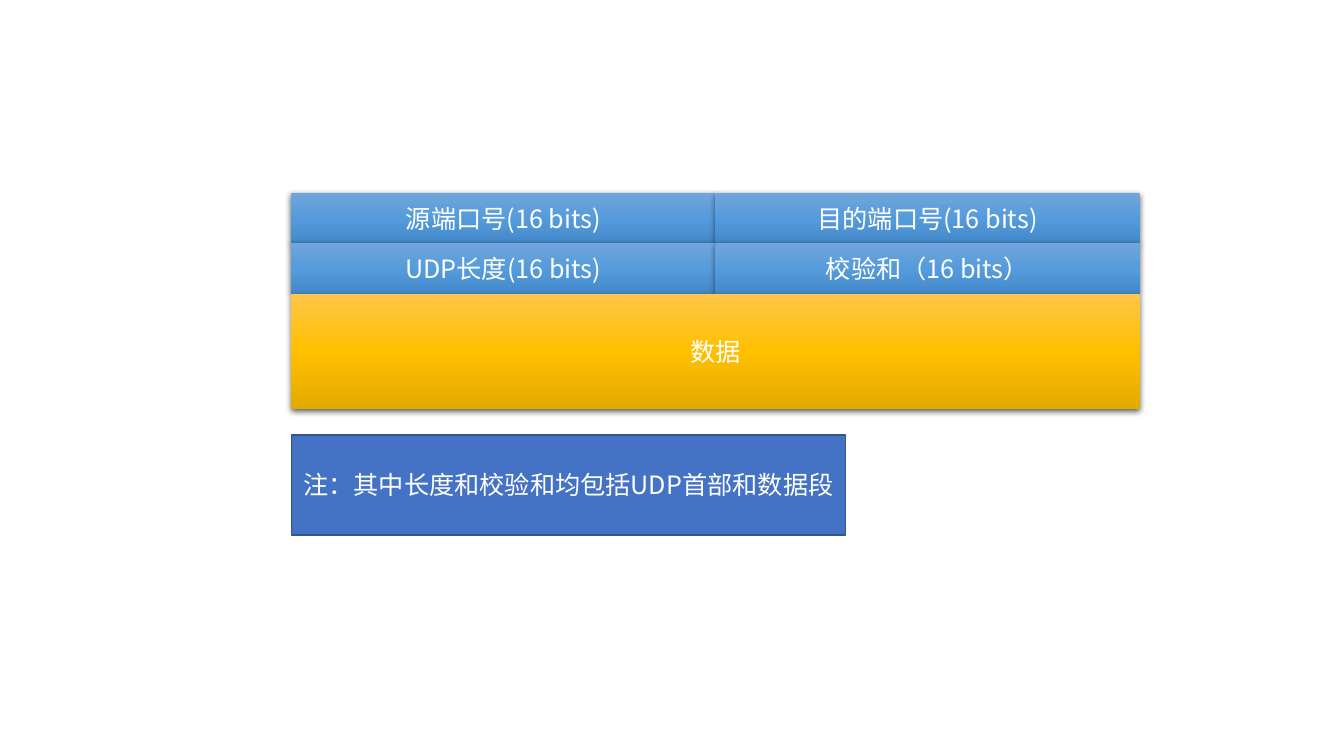
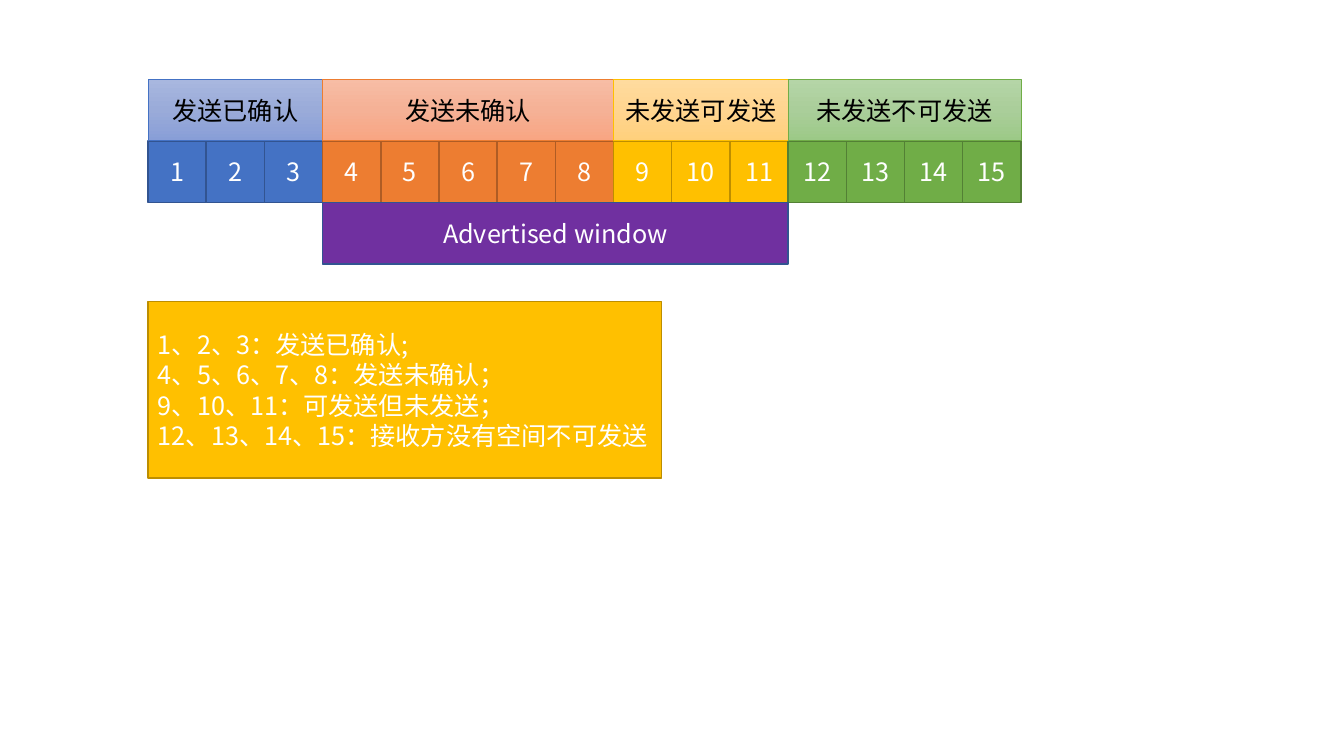
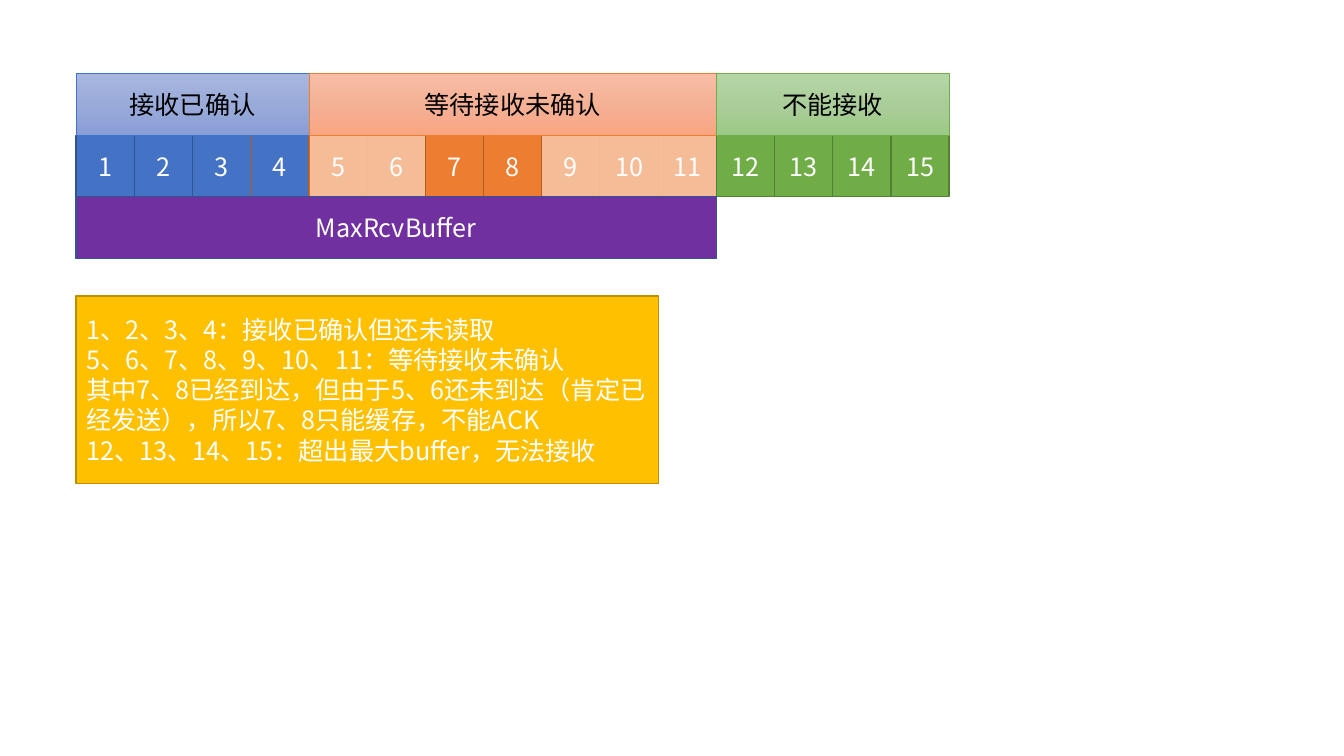
"""Build three slides on the UDP datagram and the TCP send and receive windows."""
from lxml import etree
from pptx import Presentation
from pptx.dml.color import RGBColor
from pptx.enum.shapes import MSO_SHAPE
from pptx.enum.text import MSO_ANCHOR, PP_ALIGN
from pptx.oxml.ns import qn
from pptx.util import Cm, Pt

RECTANGLE = MSO_SHAPE.RECTANGLE
MIDDLE = MSO_ANCHOR.MIDDLE
CENTER, LEFT = PP_ALIGN.CENTER, PP_ALIGN.LEFT

FONT = "Noto Sans CJK SC"
WHITE, BLACK = "FFFFFF", "000000"
SKY_GRADIENT = ("71A6DB", "559BDB", "448ACA")
GOLD_GRADIENT = ("FFC64B", "FFC000", "E3AB00")

SOLID = {
    "blue": {"fill": "4472C4", "line": "325491"},
    "orange": {"fill": "ED7D31", "line": "AF5C24"},
    "gold": {"fill": "FFC000", "line": "BD8E00"},
    "green": {"fill": "70AD47", "line": "538035"},
    "purple": {"fill": "7030A0", "line": "325491"},
    "blue edged orange": {"fill": "4472C4", "line": "AF5C24"},
    "pale orange": {"fill": "ED7D31", "alpha": 50},
}
HEADER_GRADIENT = {
    "blue": ("A8B7DF", "9AABD9", "889ED7"),
    "orange": ("F7BDA5", "F5B196", "F8A582"),
    "gold": ("FFDB9E", "FFD590", "FFD07C"),
    "green": ("B5D5A7", "AACE9A", "9CC987"),
}

UDP_LEFT, UDP_TOP, UDP_FIELD_WIDTH, UDP_ROW = 7.34, 4.86, 10.69, 1.27
UDP_DATA_HEIGHT = 2.9
UDP_FIELDS = [
    ("源端口号(16 bits)", "目的端口号(16 bits)"),
    ("UDP长度(16 bits)", "校验和（16 bits）"),
]
UDP_DATA = "数据"
UDP_NOTE = "注：其中长度和校验和均包括UDP首部和数据段"

CELL_WIDTH, ROW_HEIGHT, NOTE_OFFSET = 22 / 15, 1.55, 5.6
WINDOWS = [
    {
        "left": 3.73, "top": 2,
        "groups": [("发送已确认", "blue", 3), ("发送未确认", "orange", 5),
                   ("未发送可发送", "gold", 3), ("未发送不可发送", "green", 4)],
        "cell_styles": {},
        "buffer": ("Advertised window", 4, 11),
        "note_size": (12.95, 4.45),
        "note": ["1、2、3：发送已确认;",
                 "4、5、6、7、8：发送未确认；",
                 "9、10、11：可发送但未发送；",
                 "12、13、14、15：接收方没有空间不可发送"],
    },
    {
        "left": 1.92, "top": 1.86,
        "groups": [("接收已确认", "blue", 4), ("等待接收未确认", "orange", 7),
                   ("不能接收", "green", 4)],
        "cell_styles": {4: "blue edged orange",
                        **dict.fromkeys((5, 6, 9, 10, 11), "pale orange")},
        "buffer": ("MaxRcvBuffer", 1, 11),
        "note_size": (14.68, 4.72),
        "note": ["1、2、3、4：接收已确认但还未读取",
                 "5、6、7、8、9、10、11：等待接收未确认",
                 "其中7、8已经到达，但由于5、6还未到达（肯定已经发送），所以7、8只能缓存，不能ACK",
                 "12、13、14、15：超出最大buffer，无法接收"],
    },
]


def color(value):
    return RGBColor.from_string(value)


def add_color(parent, value, alpha=None):
    node = etree.SubElement(parent, qn("a:srgbClr"), val=value)
    if alpha is not None:
        etree.SubElement(node, qn("a:alpha"), val=str(alpha * 1000))


def paint(shape, fill, alpha=None):
    properties = shape.element.spPr
    if isinstance(fill, tuple):
        shape.fill.gradient()
        shape.fill.gradient_angle = 270
        stops = properties.find(".//" + qn("a:gsLst"))
        stops.clear()
        for index, value in enumerate(fill):
            position = 100000 * index // (len(fill) - 1)
            add_color(etree.SubElement(stops, qn("a:gs"), pos=str(position)), value)
    else:
        shape.fill.solid()
        shape.fill.fore_color.rgb = color(fill)
        if alpha is not None:
            solid = properties.find(qn("a:solidFill"))
            solid.clear()
            add_color(solid, fill, alpha)


def add_shadow(shape):
    effects = shape.element.spPr.find(qn("a:effectLst"))
    shadow = etree.SubElement(
        effects, qn("a:outerShdw"), blurRad=str(Pt(4.5)), dist=str(Pt(1.5)),
        dir="5400000", algn="ctr", rotWithShape="0")
    add_color(shadow, BLACK, 63)


def write(frame, text, ink=WHITE, align=CENTER, size=18):
    frame.word_wrap = True
    frame.vertical_anchor = MIDDLE
    lines = [text] if isinstance(text, str) else text
    for index, line in enumerate(lines):
        para = frame.add_paragraph() if index else frame.paragraphs[0]
        para.alignment = align
        span = para.add_run()
        span.text = line
        span.font.size = Pt(size)
        span.font.name = FONT
        span.font.color.rgb = color(ink)
        etree.SubElement(span.font._element, qn("a:ea"), typeface=FONT)


def add_box(page, text, left, top, width, height, fill, line=None,
            line_width=1, alpha=None, shadow=False, **text_format):
    box = page.shapes.add_shape(RECTANGLE, Cm(left), Cm(top), Cm(width), Cm(height))
    box.shadow.inherit = False
    paint(box, fill, alpha)
    if line:
        box.line.color.rgb = color(line)
        box.line.width = Pt(line_width)
    else:
        box.line.fill.background()
    if shadow:
        add_shadow(box)
    write(box.text_frame, text, **text_format)


def draw_datagram(page):
    for row, fields in enumerate(UDP_FIELDS):
        for column, field in enumerate(fields):
            add_box(page, field, UDP_LEFT + column * UDP_FIELD_WIDTH,
                    UDP_TOP + row * UDP_ROW, UDP_FIELD_WIDTH, UDP_ROW,
                    SKY_GRADIENT, shadow=True)
    data_top = UDP_TOP + len(UDP_FIELDS) * UDP_ROW
    add_box(page, UDP_DATA, UDP_LEFT, data_top, 2 * UDP_FIELD_WIDTH,
            UDP_DATA_HEIGHT, GOLD_GRADIENT, shadow=True)
    add_box(page, UDP_NOTE, UDP_LEFT, 10.96, 13.97, 2.52, **SOLID["blue"])


def draw_window(page, window):
    left, top = window["left"], window["top"]

    def cell_left(number):
        return left + (number - 1) * CELL_WIDTH

    headers, number = [], 1
    for title, family, count in window["groups"]:
        headers.append((title, family, number, count))
        for cell in range(number, number + count):
            style = SOLID[window["cell_styles"].get(cell, family)]
            add_box(page, str(cell), cell_left(cell), top + ROW_HEIGHT,
                    CELL_WIDTH, ROW_HEIGHT, **style)
        number += count
    for title, family, first, count in headers:
        add_box(page, title, cell_left(first), top, count * CELL_WIDTH, ROW_HEIGHT,
                HEADER_GRADIENT[family], line=SOLID[family]["fill"],
                line_width=0.5, ink=BLACK)
    label, first, last = window["buffer"]
    add_box(page, label, cell_left(first), top + 2 * ROW_HEIGHT,
            (last - first + 1) * CELL_WIDTH, ROW_HEIGHT, **SOLID["purple"])
    add_box(page, window["note"], left, top + NOTE_OFFSET, *window["note_size"],
            align=LEFT, **SOLID["gold"])


def main():
    deck = Presentation()
    deck.slide_width, deck.slide_height = Cm(33.87), Cm(19.05)
    blank = deck.slide_layouts[6]
    draw_datagram(deck.slides.add_slide(blank))
    for window in WINDOWS:
        draw_window(deck.slides.add_slide(blank), window)
    deck.save("out.pptx")


if __name__ == "__main__":
    main()
